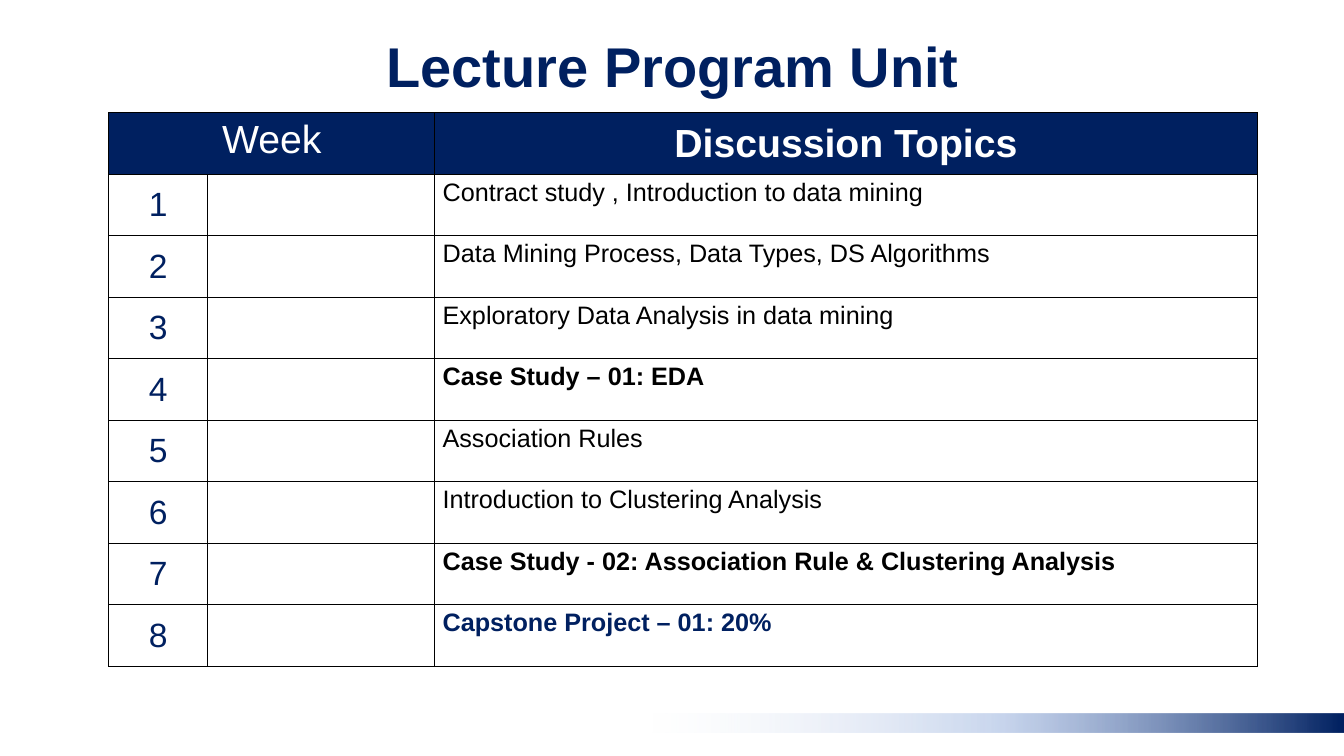
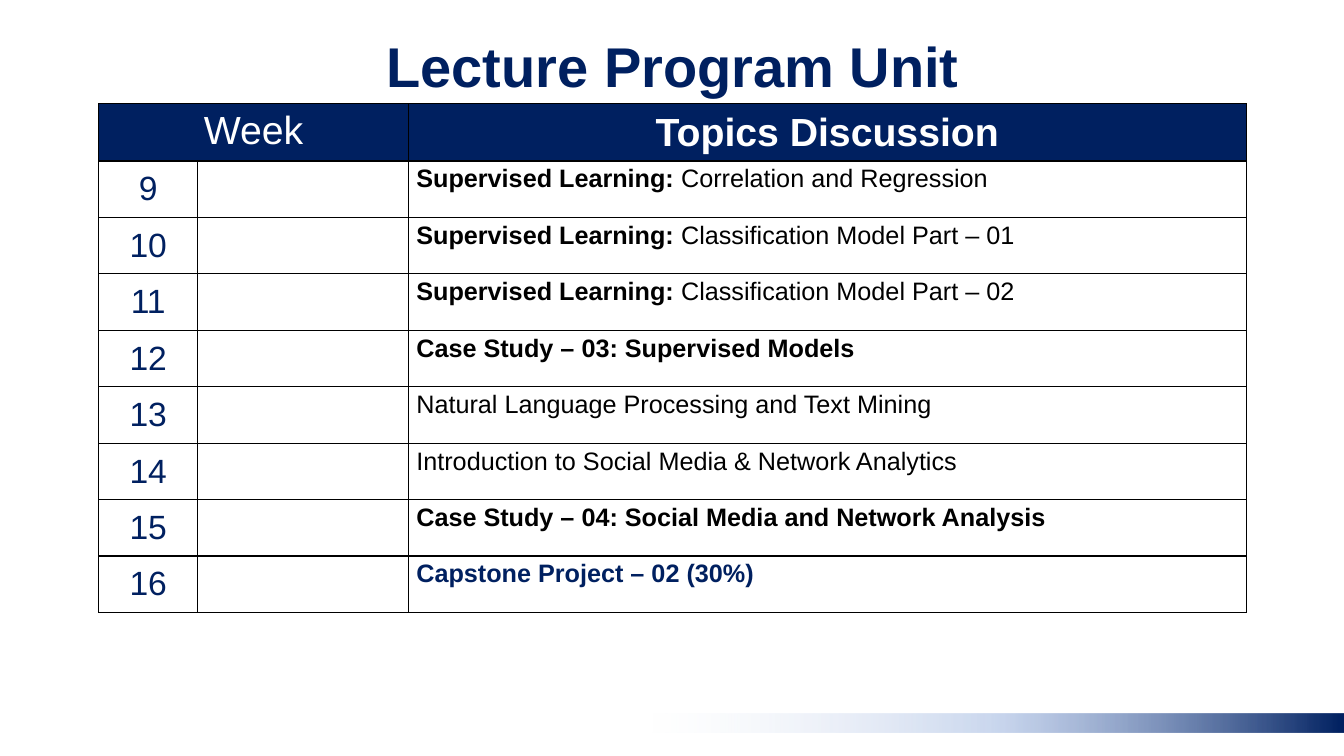
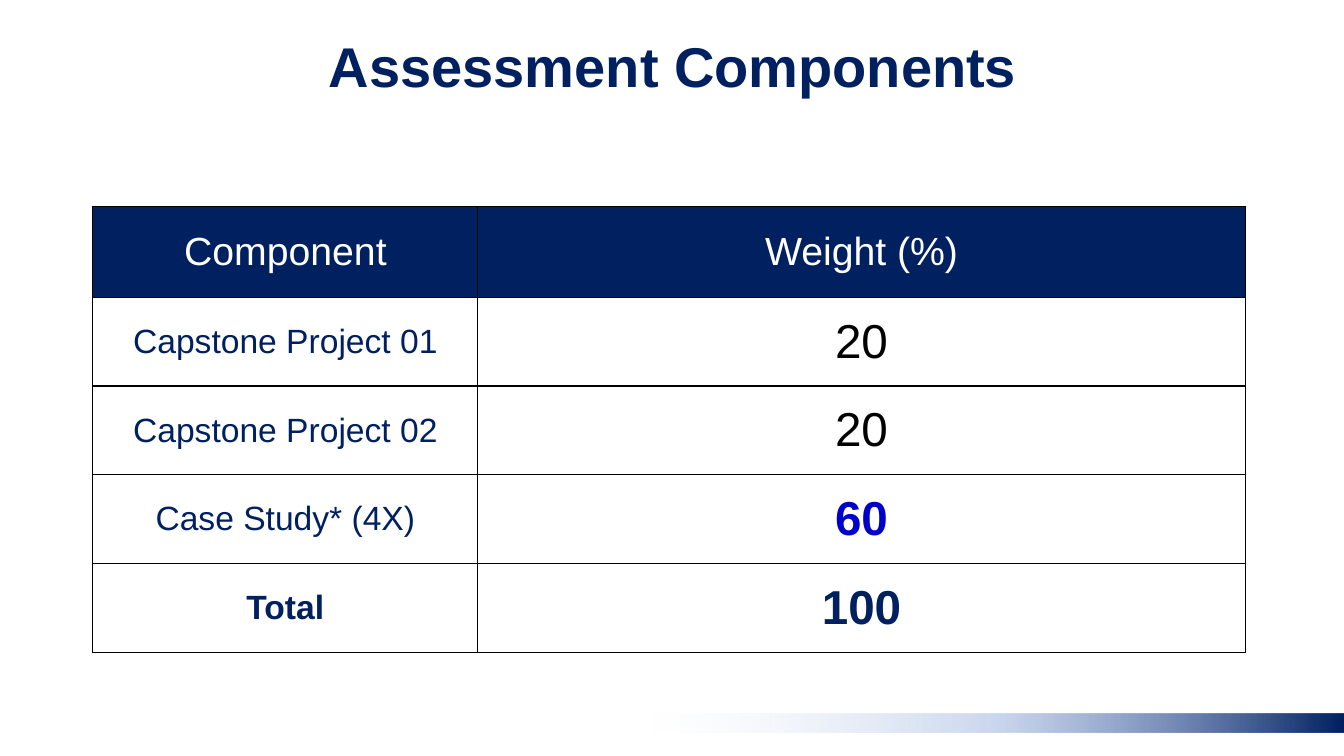
from lxml import etree
from pptx import Presentation
from pptx.dml.color import RGBColor
from pptx.enum.shapes import MSO_SHAPE
from pptx.enum.text import MSO_ANCHOR, PP_ALIGN
from pptx.oxml import parse_xml
from pptx.util import Inches, Pt

NAVY = RGBColor(0x00, 0x20, 0x60)
BLUE = RGBColor(0x00, 0x00, 0xCC)
BLACK = RGBColor(0x00, 0x00, 0x00)
WHITE = RGBColor(0xFF, 0xFF, 0xFF)
FONT = "Arial"
CENTER, LEFT = PP_ALIGN.CENTER, PP_ALIGN.LEFT
TOP, MIDDLE = MSO_ANCHOR.TOP, MSO_ANCHOR.MIDDLE
RECTANGLE = MSO_SHAPE.RECTANGLE
DRAWING = "http://schemas.openxmlformats.org/drawingml/2006/main"
BAND_FILL = f"""<a:gradFill xmlns:a="{DRAWING}" rotWithShape="1"><a:gsLst>
<a:gs pos="0"><a:srgbClr val="D8E2F3"><a:alpha val="0"/></a:srgbClr></a:gs>
<a:gs pos="50000"><a:srgbClr val="8DA9DB"><a:alpha val="47000"/></a:srgbClr></a:gs>
<a:gs pos="100000"><a:srgbClr val="{NAVY}"/></a:gs>
</a:gsLst><a:lin ang="0" scaled="0"/></a:gradFill>"""


def write(paragraph, runs, size, color, align=CENTER):
    paragraph.alignment = align
    paragraph.font.name = FONT
    paragraph.font.size = Pt(size)
    paragraph.font.color.rgb = color
    for text, bold in runs:
        run = paragraph.add_run()
        run.text = text
        run.font.name = FONT
        run.font.size = Pt(size)
        run.font.color.rgb = color
        run.font.bold = bold


def add_grid(slide, left, top, widths, heights):
    frame = slide.shapes.add_table(
        len(heights), len(widths), Inches(left), Inches(top),
        Inches(sum(widths)), Inches(sum(heights)))
    table = frame.table
    table.first_row = False
    table.horz_banding = False
    for column, width in zip(table.columns, widths):
        column.width = Inches(width)
    for row, height in zip(table.rows, heights):
        row.height = Inches(height)
    for cell in table.iter_cells():
        cell.vertical_anchor = MIDDLE
        cell.margin_left = cell.margin_right = Inches(0.1)
        cell.margin_top = cell.margin_bottom = Inches(0.05)
        properties = cell._tc.get_or_add_tcPr()
        for side in ("lnL", "lnR", "lnT", "lnB"):
            line = etree.SubElement(properties, f"{{{DRAWING}}}{side}", w=str(Pt(1)))
            fill = etree.SubElement(line, f"{{{DRAWING}}}solidFill")
            etree.SubElement(fill, f"{{{DRAWING}}}srgbClr", val=str(BLACK))
        cell.fill.background()
    for column in range(len(widths)):
        header = table.cell(0, column)
        header.fill.solid()
        header.fill.fore_color.rgb = NAVY
    return table


presentation = Presentation()
presentation.slide_width = Inches(13.33)
presentation.slide_height = Inches(7.5)
blank = presentation.slide_layouts[6]

titles = ["Lecture Program Unit", "Lecture Program Unit", "Assessment Components"]
slides = []
for title in titles:
    slide = presentation.slides.add_slide(blank)
    box = slide.shapes.add_textbox(Inches(2.19), Inches(0.26), Inches(8.96), Inches(0.77))
    box.text_frame.word_wrap = True
    write(box.text_frame.paragraphs[0], [(title, True)], 40, NAVY)
    slides.append(slide)

band = slides[0].shapes.add_shape(
    RECTANGLE, Inches(6.47), Inches(7.08), Inches(6.86), Inches(0.19))
band.shadow.inherit = False
band.line.fill.background()
band.fill.background()
band_properties = band.element.spPr
band_properties.replace(
    band_properties.find(f"{{{DRAWING}}}noFill"), parse_xml(BAND_FILL))
presentation.slide_master.shapes.element.append(band.element)

SUPERVISED = ("Supervised Learning: ", True)
programs = [
    (slides[0], 1.08, 1.12, [0.98, 2.25, 8.16], 0.61, "Discussion Topics", 1, [
        [("Contract study , Introduction to data mining", False)],
        [("Data Mining Process, Data Types, DS Algorithms", False)],
        [("Exploratory Data Analysis in data mining", False)],
        [("Case Study – 01: EDA", True)],
        [("Association Rules", False)],
        [("Introduction to Clustering Analysis", False)],
        [("Case Study - 02: Association Rule & Clustering Analysis", True)],
        [("Capstone Project – 01: 20%", True)],
    ]),
    (slides[1], 0.98, 1.03, [0.98, 2.09, 8.31], 0.56, "Topics Discussion", 9, [
        [SUPERVISED, ("Correlation and Regression", False)],
        [SUPERVISED, ("Classification Model Part – 01", False)],
        [SUPERVISED, ("Classification Model Part – 02", False)],
        [("Case Study – 03: Supervised Models", True)],
        [("Natural Language Processing and Text Mining", False)],
        [("Introduction to Social Media & Network Analytics", False)],
        [("Case Study – 04: Social Media and Network Analysis", True)],
        [("Capstone Project – 02 (30%)", True)],
    ]),
]
for slide, left, top, widths, height, heading, first_week, topics in programs:
    table = add_grid(slide, left, top, widths, [height] * (len(topics) + 1))
    week_header = table.cell(0, 0)
    week_header.merge(table.cell(0, 1))
    week_header.vertical_anchor = TOP
    write(week_header.text_frame.paragraphs[0], [("Week", False)], 28, WHITE)
    write(table.cell(0, 2).text_frame.paragraphs[0], [(heading, True)], 28, WHITE)
    for row, topic in enumerate(topics, start=1):
        week = str(first_week + row - 1)
        write(table.cell(row, 0).text_frame.paragraphs[0], [(week, False)], 24, NAVY)
        cell = table.cell(row, 2)
        cell.vertical_anchor = TOP
        cell.margin_left = cell.margin_right = Inches(0.08)
        cell.margin_top = cell.margin_bottom = Inches(0.04)
        color = NAVY if row == len(topics) else BLACK
        write(cell.text_frame.paragraphs[0], topic, 18, color, LEFT)

components = [
    ("Capstone Project 01", False, "20", False, BLACK),
    ("Capstone Project 02", False, "20", False, BLACK),
    ("Case Study* (4X)", False, "60", True, BLUE),
    ("Total", True, "100", True, NAVY),
]
table = add_grid(slides[2], 0.92, 2.05, [3.82, 7.61], [0.9] + [0.88] * len(components))
for column, heading in enumerate(["Component", "Weight (%)"]):
    write(table.cell(0, column).text_frame.paragraphs[0], [(heading, False)], 28, WHITE)
for row, (name, name_bold, weight, weight_bold, color) in enumerate(components, start=1):
    write(table.cell(row, 0).text_frame.paragraphs[0], [(name, name_bold)], 24, NAVY)
    write(table.cell(row, 1).text_frame.paragraphs[0], [(weight, weight_bold)], 34, color)

presentation.save("out.pptx")
